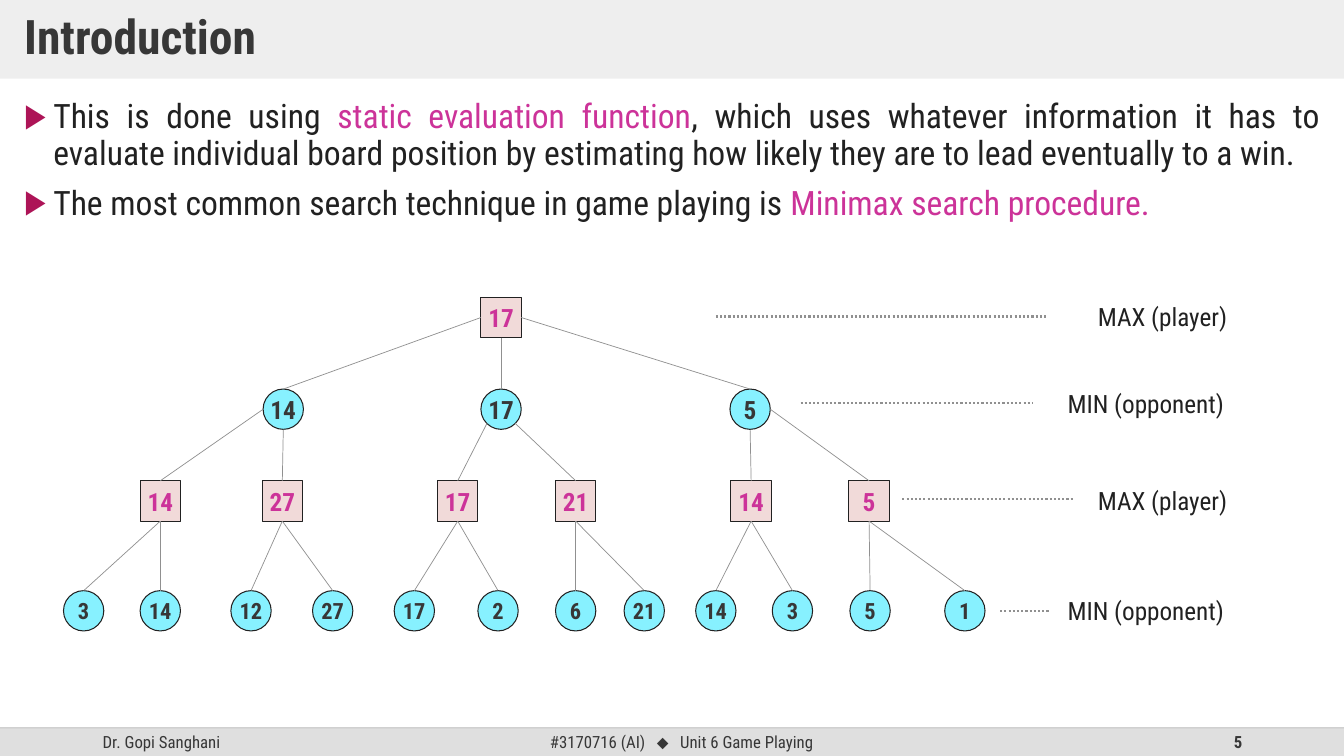
"""Build a slide that shows a minimax game tree."""
from lxml.etree import SubElement as Sub
from pptx import Presentation
from pptx.dml.color import RGBColor
from pptx.enum.dml import MSO_LINE as Dash
from pptx.enum.shapes import MSO_CONNECTOR as Conn, MSO_SHAPE as Kind
from pptx.enum.text import MSO_ANCHOR as Anchor, PP_ALIGN as Align
from pptx.oxml.ns import qn
from pptx.util import Inches, Pt

INK, DARK, PINK = "212121", "373737", "CC3399"
GREY, BAR, ROSE, CYAN = "909090", "DFDFDF", "F1DAD9", "87F1FF"
SIDE = 0.4
ROWS = (2.95, 3.86, 4.77, 5.86)
PORTS = {"L": (0, 0.5), "B": (0.5, 1), "R": (1, 0.5), "BL": (0.15, 0.85), "BR": (0.85, 0.85)}
SITES = {"L": 1, "B": 2, "R": 3}

TREE = ("17", 4.77, "", [
    ("14", 2.61, "L", [
        ("14", 1.39, "L", [("3", 0.63, "B", []), ("14", 1.39, "B", [])]),
        ("27", 2.6, "B", [("12", 2.29, "B", []), ("27", 3.1, "B", [])])]),
    ("17", 4.77, "B", [
        ("17", 4.34, "BL", [("17", 3.91, "B", []), ("2", 4.74, "B", [])]),
        ("21", 5.51, "BR", [("6", 5.51, "B", []), ("21", 6.19, "B", [])])]),
    ("5", 7.24, "R", [
        ("14", 7.25, "B", [("14", 6.9, "B", []), ("3", 7.66, "B", [])]),
        ("5", 8.42, "R", [("5", 8.43, "B", []), ("1", 9.37, "B", [])])])])

LEVELS = (
    ("MAX (player)", 10.79, 2.94, 1.5, 7.1, 10.39, 3.14),
    ("MIN (opponent)", 10.49, 3.8, 1.8, 7.94, 10.24, 4),
    ("MAX (player)", 10.79, 4.77, 1.5, 8.95, 10.65, 4.95),
    ("MIN (opponent)", 10.49, 5.86, 1.8, 9.92, 10.42, 6.06))


def tint(color, code, alpha=100):
    """Set a solid colour, with an opacity in percent."""
    color.rgb = RGBColor.from_string(code)
    if alpha < 100:
        node = color._xFill.find(qn("a:srgbClr"))
        Sub(node, qn("a:alpha"), val=str(alpha * 1000))


class Deck:
    """Hold the style and the current slide."""

    face = "Roboto Condensed"

    def __init__(self):
        """Open a wide deck with one blank slide."""
        self.deck = Presentation()
        self.deck.slide_width = Inches(13.33)
        self.deck.slide_height = Inches(7.5)
        self.slide = self.deck.slides.add_slide(self.deck.slide_layouts[6])

    def run(self, para, text, size, code, bold=False, face=None, gap=0):
        """Add one run to a paragraph."""
        run = para.add_run()
        run.text = text
        font = run.font
        font.size, font.bold, font.name = Pt(size), bold, face or self.face
        tint(font.color, code)
        if gap:
            run._r.get_or_add_rPr().set("spc", str(gap))

    def shape(self, kind, x, y, w, h, fill, alpha=100, line=None):
        """Add a filled shape, with an optional outline."""
        item = self.slide.shapes.add_shape(kind, Inches(x), Inches(y), Inches(w), Inches(h))
        item.shadow.inherit = False
        item.fill.solid()
        tint(item.fill.fore_color, fill, alpha)
        if line:
            tint(item.line.color, line)
            item.line.width = Pt(0.75)
        else:
            item.line.fill.background()
        return item

    def box(self, x, y, w, h, anchor=Anchor.TOP):
        """Add a text box and return its frame."""
        frame = self.slide.shapes.add_textbox(Inches(x), Inches(y), Inches(w), Inches(h)).text_frame
        frame.word_wrap = True
        frame.vertical_anchor = anchor
        return frame

    def foot(self, x, w, align, text, bold=False):
        """Add a footer text and return its paragraph."""
        para = self.box(x, 7.22, w, 0.28, Anchor.MIDDLE).paragraphs[0]
        para.alignment = align
        self.run(para, text, 12, DARK, bold)
        return para

    def line(self, start, end, code=GREY, width=0.5, alpha=100, dash=None):
        """Add a straight line."""
        spots = [Inches(v) for v in (*start, *end)]
        item = self.slide.shapes.add_connector(Conn.STRAIGHT, *spots)
        tint(item.line.color, code, alpha)
        item.line.width = Pt(width)
        if dash:
            item.line.dash_style = dash
        Sub(item._element.spPr, qn("a:effectLst"))
        return item

    def title(self, text):
        """Add the title band."""
        band = self.shape(Kind.RECTANGLE, 0, 0, 13.33, 0.78, BAR, 50)
        frame = band.text_frame
        frame.word_wrap = True
        frame.vertical_anchor = Anchor.MIDDLE
        frame.margin_left = frame.margin_right = Inches(0.24)
        frame.margin_top = frame.margin_bottom = Inches(0.12)
        para = frame.paragraphs[0]
        para.alignment, para.line_spacing = Align.LEFT, 0.9
        self.run(para, text, 34, DARK, True)

    def points(self, items):
        """Add the bulleted body text."""
        frame = self.box(0.14, 0.94, 13.05, 1.4)
        for i, runs in enumerate(items):
            para = frame.add_paragraph() if i else frame.paragraphs[0]
            para.alignment, para.line_spacing = Align.JUSTIFY, 0.9
            if i:
                para.space_before = Pt(10)
            props = para._p.get_or_add_pPr()
            props.set("marL", str(Inches(0.29)))
            props.set("indent", str(-Inches(0.29)))
            Sub(Sub(props, qn("a:buClr")), qn("a:srgbClr"), val="AD1457")
            Sub(props, qn("a:buFont"), typeface="Arial")
            Sub(props, qn("a:buChar"), char="▶")
            for text, code in runs:
                self.run(para, text, 24, code)

    def node(self, text, x, depth):
        """Add a square for MAX or a circle for MIN."""
        kind, fill, code = ((Kind.OVAL, CYAN, DARK) if depth % 2
                            else (Kind.RECTANGLE, ROSE, PINK))
        item = self.shape(kind, x, ROWS[depth], SIDE, SIDE, fill, line=INK)
        frame = item.text_frame
        frame.word_wrap = False
        frame.vertical_anchor = Anchor.MIDDLE
        para = frame.paragraphs[0]
        para.alignment = Align.CENTER
        self.run(para, text, 16 if depth == 3 else 18, code, True)
        return item

    def tree(self, data, depth=0):
        """Add a node, its subtrees and the links to them."""
        text, x, _, kids = data
        top = self.node(text, x, depth)
        for kid in kids:
            low = self.tree(kid, depth + 1)
            port = kid[2]
            px, py = PORTS[port]
            link = self.line((x + px * SIDE, ROWS[depth] + py * SIDE),
                             (kid[1] + SIDE / 2, ROWS[depth + 1]))
            if depth % 2 == 0:
                link.begin_connect(top, SITES[port])
            link.end_connect(low, 0)
        return top

    def level(self, text, x, y, w, left, right, mid):
        """Add a level label and its dotted leader."""
        para = self.box(x, y, w, 0.4).paragraphs[0]
        self.run(para, text, 18, INK)
        self.line((left, mid), (right, mid), width=1.5, dash=Dash.ROUND_DOT)

    def footer(self):
        """Add the footer bar and its texts."""
        self.shape(Kind.RECTANGLE, 0, 7.22, 13.33, 0.28, BAR)
        self.foot(0.92, 3, Align.LEFT, "Dr. Gopi Sanghani")
        para = self.foot(4.42, 4.68, Align.CENTER, "#3170716 (AI)")
        self.run(para, " ", 12, DARK, gap=540)
        self.run(para, "⬥", 12, DARK, face="Arial")
        self.run(para, " ", 12, DARK, gap=540)
        self.run(para, "Unit 6 Game Playing", 12, DARK)
        self.foot(9.42, 3, Align.RIGHT, "5", True)
        self.line((0, 7.22), (13.33, 7.22), "BFBFBF", 1, 70)


def main():
    """Build and save the slide."""
    deck = Deck()
    deck.footer()
    deck.title("Introduction")
    deck.points([
        [("This is done using ", INK), ("static evaluation function", PINK),
         (", which uses whatever information it has to evaluate individual board position "
          "by estimating how likely they are to lead eventually to a win.", INK)],
        [("The most common search technique in game playing is ", INK),
         ("Minimax search procedure.", PINK)]])
    deck.tree(TREE)
    for row in LEVELS:
        deck.level(*row)
    deck.deck.save("out.pptx")


if __name__ == "__main__":
    main()
